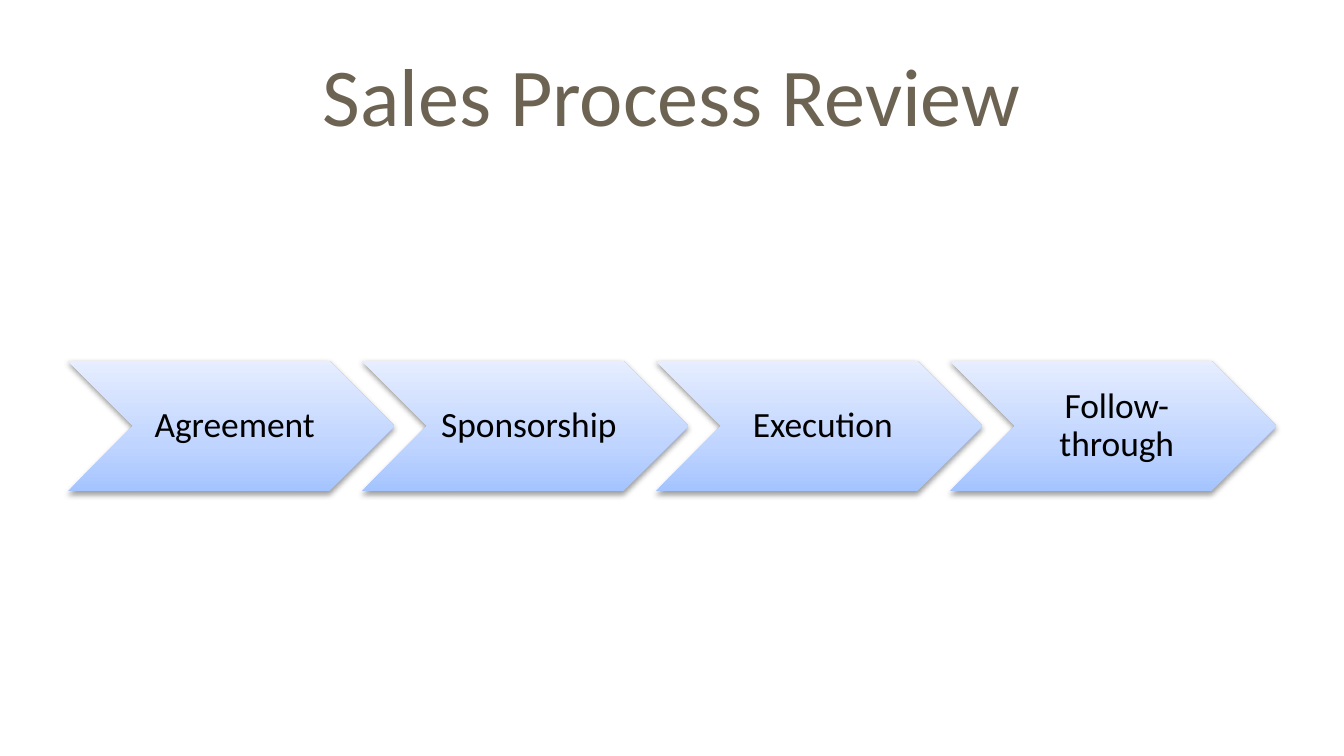
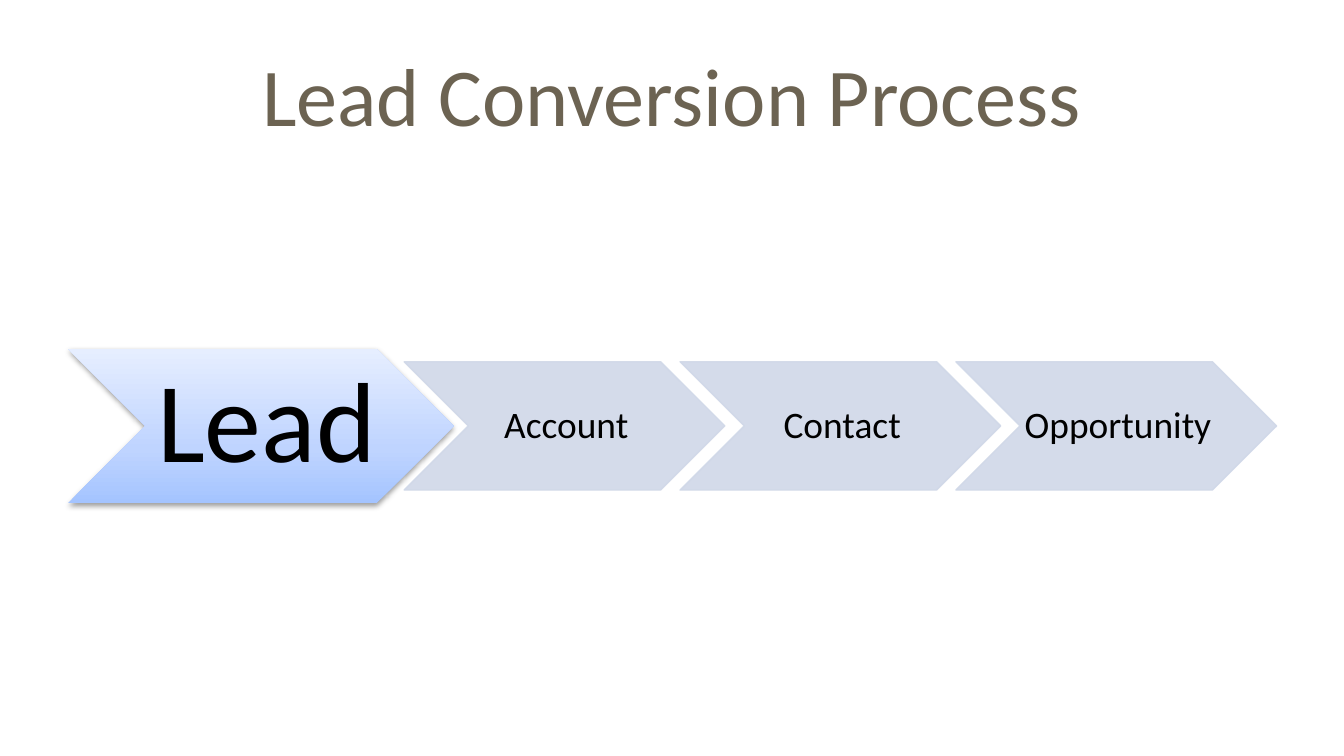
import dataclasses

import lxml.etree
import pptx
import pptx.dml.color
import pptx.enum.shapes
import pptx.enum.text
import pptx.oxml.ns
import pptx.util

Pt = pptx.util.Pt
qn = pptx.oxml.ns.qn


@dataclasses.dataclass(frozen=True)
class Theme:
    """Colours, type sizes and effects shared by the slides."""
    font: str = "Calibri"
    title_color: str = "6C6352"
    text_color: str = "000000"
    pale_color: str = "D0D8E8"
    pale_alpha: int = 90
    gradient: tuple = ((0, "A4C4FF"), (35, "BFD4FF"), (100, "E6EEFF"))
    gradient_angle: int = 90
    shadow_alpha: int = 38
    shadow_blur: float = 3.15
    shadow_distance: float = 1.57
    title_size: int = 44
    step_size: int = 19
    lead_size: int = 61
    next_size: int = 20


@dataclasses.dataclass(frozen=True)
class Box:
    """A rectangle in points."""
    left: float
    top: float
    width: float
    height: float

    def lengths(self):
        """Return the four sides as lengths."""
        return [Pt(side) for side in dataclasses.astuple(self)]


THEME = Theme()
TITLE_BOX = Box(36, 16.2, 648, 67.5)
MIDDLE = 228.2
CHEVRON_RATIO = 0.4
STEP_INSETS = (6, 2, 2, 2)
LEAD_INSETS = (6, 3, 0, 3)
NEXT_INSETS = (2, 1, 0, 1)


def rgb(value):
    """Return a colour object for a hex value."""
    return pptx.dml.color.RGBColor.from_string(value)


def apply_format(target, values):
    """Set each named attribute on the target."""
    for name, value in values.items():
        setattr(target, name, value)


def add_child(parent, tag, **attributes):
    """Append a DrawingML element with the given attributes."""
    values = {name: str(value) for name, value in attributes.items()}
    return lxml.etree.SubElement(parent, qn(tag), values)


def add_text(page, box, text, size, color, insets, paragraph_format):
    """Add one centred paragraph in a box."""
    frame = page.shapes.add_textbox(*box.lengths()).text_frame
    left, top, right, bottom = map(Pt, insets)
    apply_format(frame, {
        "word_wrap": True,
        "vertical_anchor": pptx.enum.text.MSO_ANCHOR.MIDDLE,
        "margin_left": left, "margin_top": top,
        "margin_right": right, "margin_bottom": bottom,
    })
    para = frame.paragraphs[0]
    apply_format(para, {"alignment": pptx.enum.text.PP_ALIGN.CENTER, **paragraph_format})
    span = para.add_run()
    span.text = text
    apply_format(span.font, {"name": THEME.font, "size": Pt(size)})
    span.font.color.rgb = rgb(color)


def style_glossy(shape):
    """Give a shape the blue gradient and a soft shadow."""
    shape.fill.gradient()
    shape.fill.gradient_angle = THEME.gradient_angle
    shape.line.fill.background()
    properties = shape.element.spPr
    stops = properties.find(".//" + qn("a:gsLst"))
    for stop in list(stops):
        stops.remove(stop)
    for position, color in THEME.gradient:
        add_child(add_child(stops, "a:gs", pos=position * 1000), "a:srgbClr", val=color)
    shadow = add_child(
        properties.find(qn("a:effectLst")), "a:outerShdw",
        blurRad=int(Pt(THEME.shadow_blur)), dist=int(Pt(THEME.shadow_distance)),
        dir=5400000, rotWithShape=0)
    shadow_color = add_child(shadow, "a:srgbClr", val=THEME.text_color)
    add_child(shadow_color, "a:alpha", val=THEME.shadow_alpha * 1000)


def style_pale(shape):
    """Give a shape the translucent pale fill and line."""
    shape.fill.solid()
    shape.fill.fore_color.rgb = rgb(THEME.pale_color)
    shape.line.color.rgb = rgb(THEME.pale_color)
    shape.line.width = Pt(0.75)
    for color in shape.element.spPr.iter(qn("a:srgbClr")):
        add_child(color, "a:alpha", val=THEME.pale_alpha * 1000)


def add_chevron(page, left, width, text, size, insets, style):
    """Add a chevron on the middle line with its label between notch and point."""
    height = width * CHEVRON_RATIO
    box = Box(left, MIDDLE - height / 2, width, height)
    shape = page.shapes.add_shape(pptx.enum.shapes.MSO_SHAPE.CHEVRON, *box.lengths())
    shape.shadow.inherit = False
    style(shape)
    label_box = Box(left + height / 2, box.top, width - height, height)
    add_text(page, label_box, text, size, THEME.text_color, insets,
             {"line_spacing": 0.9, "space_after": Pt(size * 0.35)})


def add_chevron_row(page, left, width, pitch, labels, size, insets, style):
    """Add equal chevrons at a steady pitch."""
    for index, label in enumerate(labels):
        add_chevron(page, left + index * pitch, width, label, size, insets, style)


def add_page(deck, title):
    """Add a blank page with the shared title."""
    page = deck.slides.add_slide(deck.slide_layouts[6])
    add_text(page, TITLE_BOX, title, THEME.title_size, THEME.title_color,
             (7.2, 3.6, 7.2, 3.6), {})
    return page


def build_sales_review(deck):
    """Build the page of four equal sales steps."""
    page = add_page(deck, "Sales Process Review")
    labels = ("Agreement", "Sponsorship", "Execution", "Follow-through")
    add_chevron_row(page, 36.3, 175, 157.5, labels, THEME.step_size, STEP_INSETS, style_glossy)


def build_lead_conversion(deck):
    """Build the page with a large lead and three following steps."""
    page = add_page(deck, "Lead Conversion Process")
    add_chevron(page, 36.5, 206.5, "Lead", THEME.lead_size, LEAD_INSETS, style_glossy)
    labels = ("Account", "Contact", "Opportunity")
    add_chevron_row(page, 216.5, 171.8, 147.8, labels, THEME.next_size, NEXT_INSETS, style_pale)


def main():
    """Build and save the deck."""
    deck = pptx.Presentation()
    apply_format(deck, {"slide_width": Pt(720), "slide_height": Pt(405)})
    build_sales_review(deck)
    build_lead_conversion(deck)
    deck.save("out.pptx")


if __name__ == "__main__":
    main()
